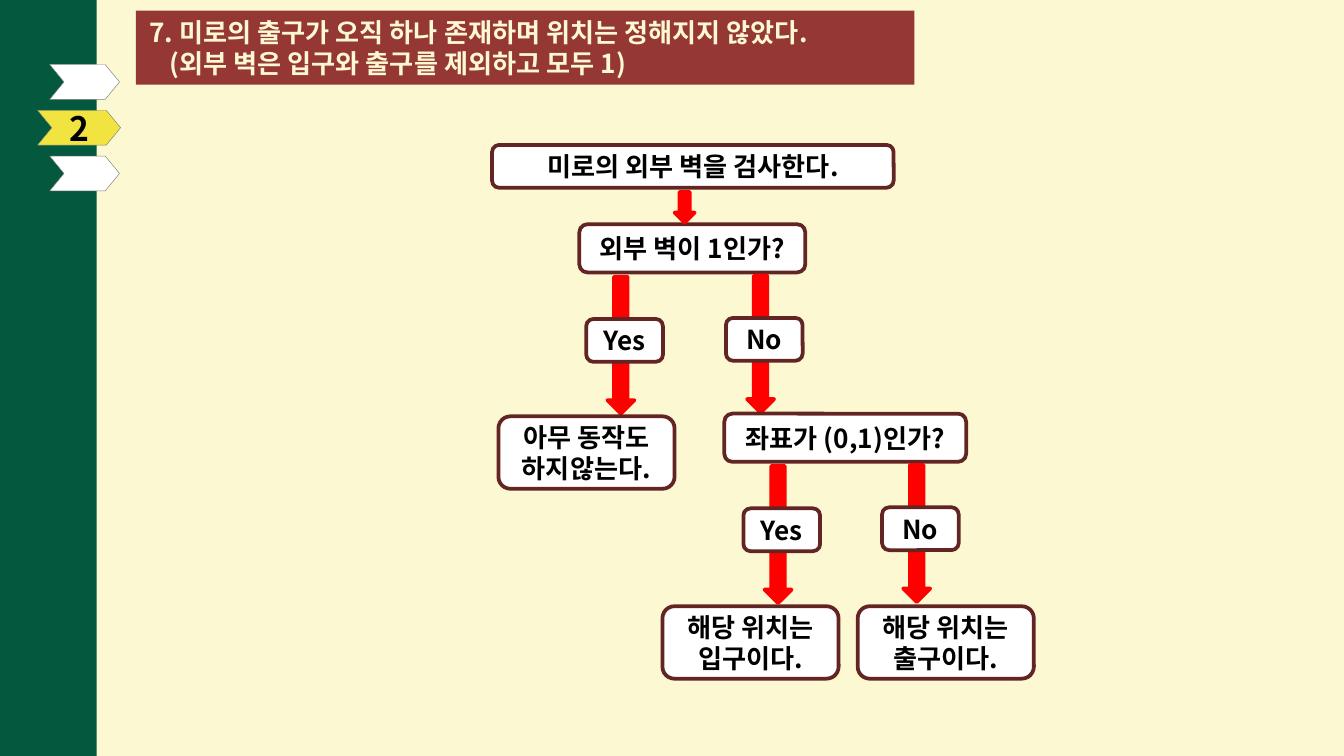
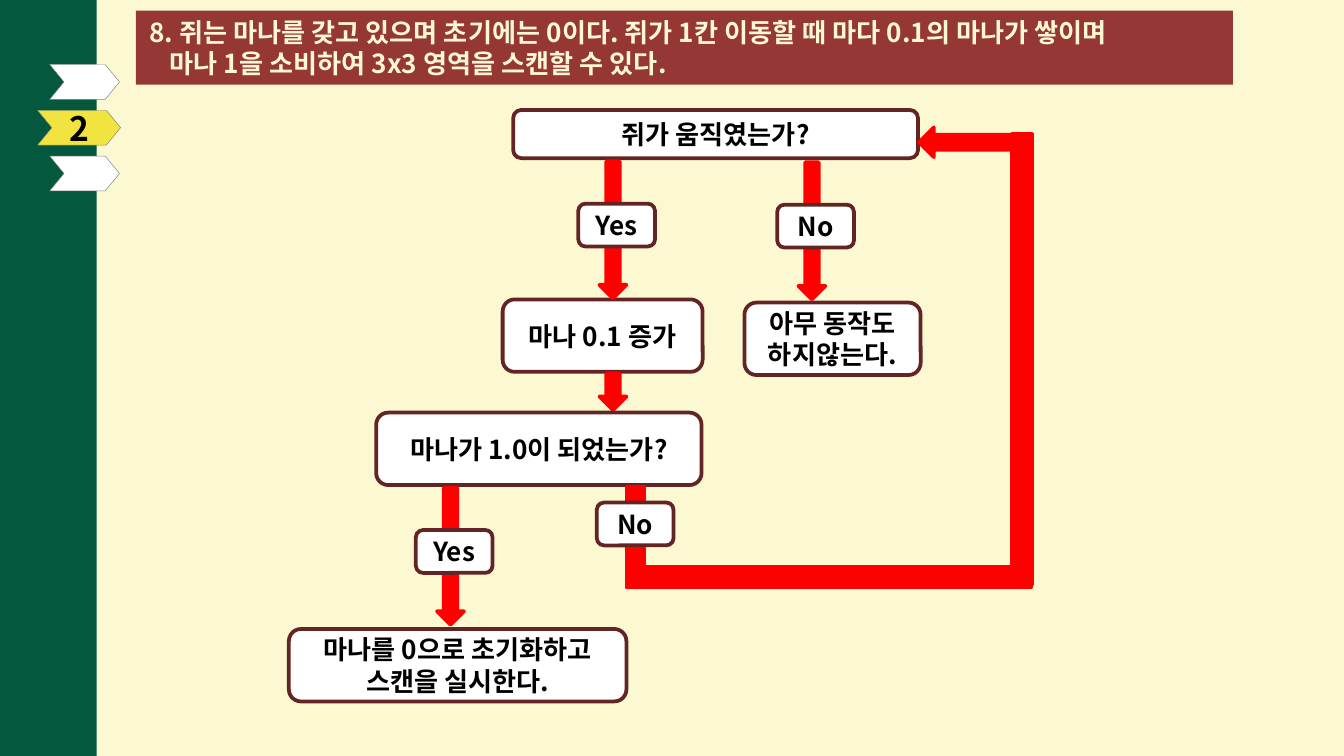
from lxml import etree
from pptx import Presentation
from pptx import util as u
from pptx.dml.color import RGBColor
from pptx.enum import shapes, text
from pptx.oxml import ns

FONT = "Noto Sans CJK KR"
CREAM = RGBColor(0xFC, 0xF9, 0xD2)
GREEN = RGBColor(0x04, 0x58, 0x3D)
YELLOW = RGBColor(0xF1, 0xE4, 0x41)
WHITE = RGBColor(0xFF, 0xFF, 0xFF)
GRAY = RGBColor(0x80, 0x80, 0x80)
BLACK = RGBColor(0x00, 0x00, 0x00)
BRICK = RGBColor(0x95, 0x37, 0x35)
MAROON = RGBColor(0x63, 0x25, 0x23)
RED = RGBColor(0xFF, 0x00, 0x00)

PRESET = shapes.MSO_SHAPE
ANSWER_SIZE = (1.45, 0.81)
RESULT_SIZE = (3.33, 1.37)
QUESTION_HEIGHT = 0.91
BRANCH_SIZE = (0.51, 2.59)


def write(frame, words, size, color, align):
    frame.text = words
    frame.word_wrap = True
    frame.vertical_anchor = text.MSO_ANCHOR.MIDDLE
    for paragraph in frame.paragraphs:
        paragraph.alignment = align
        for run in paragraph.runs:
            font = run.font
            font.name, font.size, font.bold = FONT, u.Pt(size), True
            font.color.rgb = color
            east_asian = etree.SubElement(font._element, ns.qn("a:ea"))
            east_asian.set("typeface", FONT)


def draw(slide, preset, box, fill, line=None, width=2):
    part = slide.shapes.add_shape(preset, *(u.Cm(length) for length in box))
    part.shadow.inherit = False
    part.fill.solid()
    part.fill.fore_color.rgb = fill
    if line is None:
        part.line.fill.background()
    else:
        part.line.color.rgb = line
        part.line.width = u.Pt(width)
    return part


def add_node(slide, words, left, top, size=RESULT_SIZE):
    node = draw(slide, PRESET.ROUNDED_RECTANGLE, (left, top, *size), WHITE, MAROON)
    write(node.text_frame, words, 14, BLACK, text.PP_ALIGN.CENTER)


def add_arrow(slide, left, top, width, height, preset=PRESET.DOWN_ARROW):
    draw(slide, preset, (left, top, width, height), RED, RED)


def add_branch(slide, answer, left, top):
    add_arrow(slide, left, top, *BRANCH_SIZE)
    add_node(slide, answer, left - 0.4, top + 0.8, ANSWER_SIZE)


def add_sidebar(slide):
    draw(slide, PRESET.RECTANGLE, (-1.17, -0.25, 3, 14.78), GREEN)
    markers = [(0.94, 1.32, WHITE), (0.71, 1.57, YELLOW), (0.94, 1.32, WHITE)]
    for row, (left, width, color) in enumerate(markers):
        box = (left, 1.22 + 0.865 * row, width, 0.66)
        marker = draw(slide, PRESET.CHEVRON, box, color, GRAY, 0.25)
        marker.adjustments[0] = 0.412
        if color == YELLOW:
            write(marker.text_frame, "2", 18, BLACK, text.PP_ALIGN.CENTER)


def set_title(slide, words, width):
    title = slide.shapes.title
    title.left, title.top = u.Cm(2.57), u.Cm(0.2)
    title.width, title.height = u.Cm(width), u.Cm(1.4)
    outline = etree.SubElement(title._element.spPr, ns.qn("a:prstGeom"), prst="roundRect")
    etree.SubElement(outline, ns.qn("a:avLst"))
    title.fill.solid()
    title.fill.fore_color.rgb = BRICK
    frame = title.text_frame
    write(frame, words, 14, CREAM, text.PP_ALIGN.LEFT)
    frame.auto_size = text.MSO_AUTO_SIZE.NONE
    frame.paragraphs[1]._p.get_or_add_pPr().set("marL", str(u.Cm(0.38)))


def add_slide(deck, title, width):
    slide = deck.slides.add_slide(deck.slide_layouts[5])
    add_sidebar(slide)
    set_title(slide, title, width)
    return slide


def build_exit_search(deck):
    slide = add_slide(
        deck,
        "7. 미로의 출구가 오직 하나 존재하며 위치는 정해지지 않았다.\n"
        "(외부 벽은 입구와 출구를 제외하고 모두 1)",
        14.71,
    )
    add_node(slide, "미로의 외부 벽을 검사한다.", 9.3, 2.74, (7.59, 0.81))
    add_node(slide, "외부 벽이 1인가?", 10.95, 4.24, (4.27, QUESTION_HEIGHT))
    add_arrow(slide, 12.75, 3.63, 0.38, 0.58)
    add_branch(slide, "Yes", 11.48, 5.23)
    add_branch(slide, "No", 14.12, 5.21)
    add_node(slide, "아무 동작도 하지않는다.", 9.42, 7.87)
    add_node(slide, "좌표가 (0,1)인가?", 13.69, 7.82, (4.57, QUESTION_HEIGHT))
    add_branch(slide, "Yes", 14.45, 8.81)
    add_branch(slide, "No", 17.07, 8.79)
    add_node(slide, "해당 위치는\n입구이다.", 12.52, 11.46)
    add_node(slide, "해당 위치는\n출구이다.", 16.21, 11.46)


def build_mana_scan(deck):
    slide = add_slide(
        deck,
        "8. 쥐는 마나를 갖고 있으며 초기에는 0이다. 쥐가 1칸 이동할 때 마다 0.1의 마나가 쌓이며\n"
        "마나 1을 소비하여 3x3 영역을 스캔할 수 있다.",
        20.73,
    )
    add_node(slide, "쥐가 움직였는가?", 9.7, 2.08, (7.65, QUESTION_HEIGHT))
    add_node(slide, "마나 0.1 증가", 9.5, 5.66, (3.78, 1.37))
    add_branch(slide, "Yes", 11.33, 3.05)
    add_branch(slide, "No", 15.09, 3.07)
    add_node(slide, "아무 동작도 하지않는다.", 14.07, 5.72)
    add_arrow(slide, 11.33, 7.06, 0.51, 0.69)
    add_node(slide, "마나가 1.0이 되었는가?", 7.11, 7.8, (6.15, 1.37))

    add_arrow(slide, 17.37, 2.41, 1.88, 0.56, PRESET.LEFT_ARROW)
    loop = [(11.84, 9.2, 0.33, 1.65), (11.84, 10.72, 7.65, 0.38), (19.13, 2.54, 0.38, 8.51)]
    for box in loop:
        draw(slide, PRESET.RECTANGLE, box, RED, RED)
    add_node(slide, "No", 11.28, 9.5, ANSWER_SIZE)

    add_branch(slide, "Yes", 8.26, 9.22)
    add_node(slide, "마나를 0으로 초기화하고 스캔을 실시한다.", 5.46, 11.89, (6.38, 1.37))


def main():
    deck = Presentation()
    deck.slide_width, deck.slide_height = u.Cm(25.4), u.Cm(14.29)
    backdrop = deck.slide_master.background.fill
    backdrop.solid()
    backdrop.fore_color.rgb = CREAM
    build_exit_search(deck)
    build_mana_scan(deck)
    deck.save("out.pptx")


if __name__ == "__main__":
    main()
